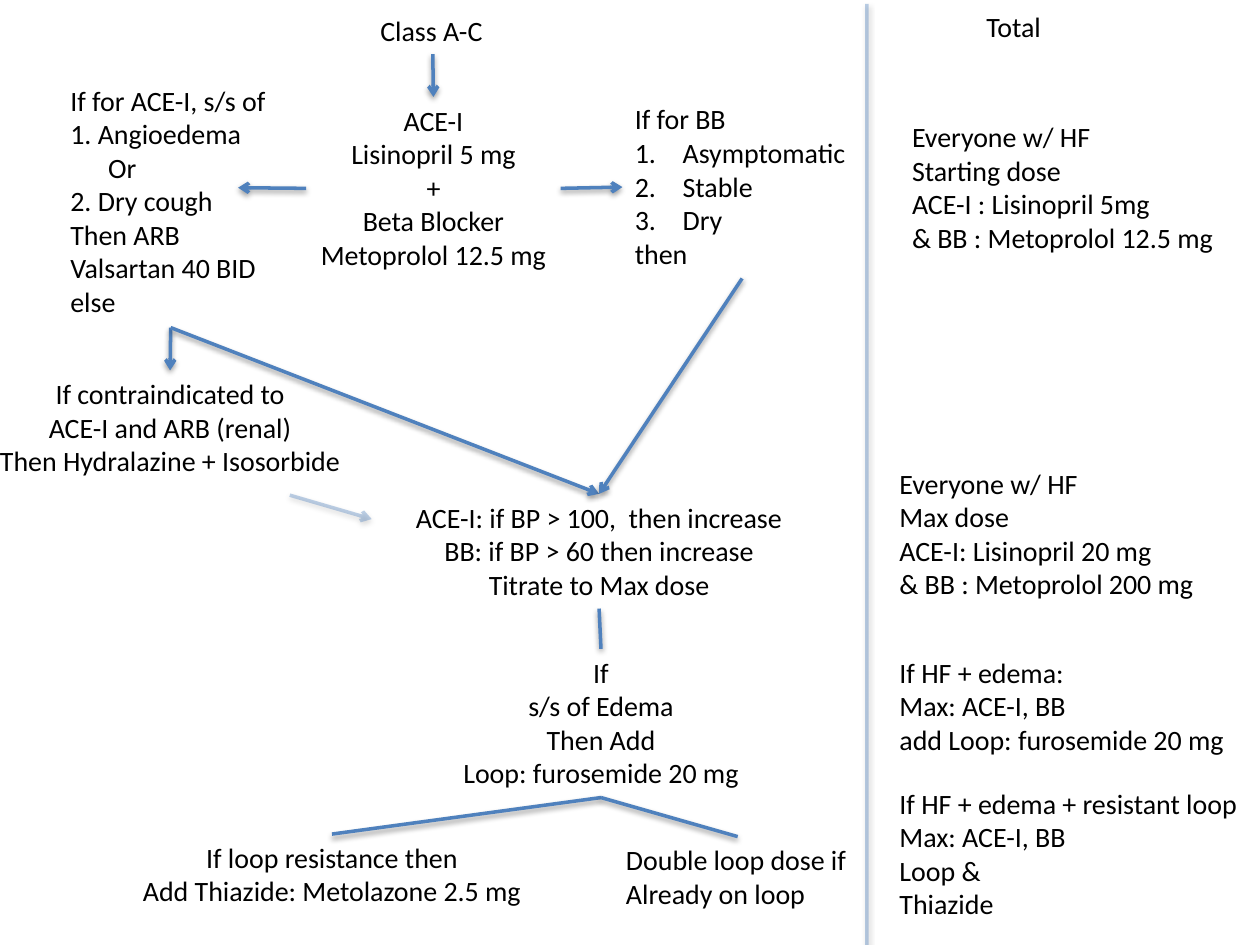
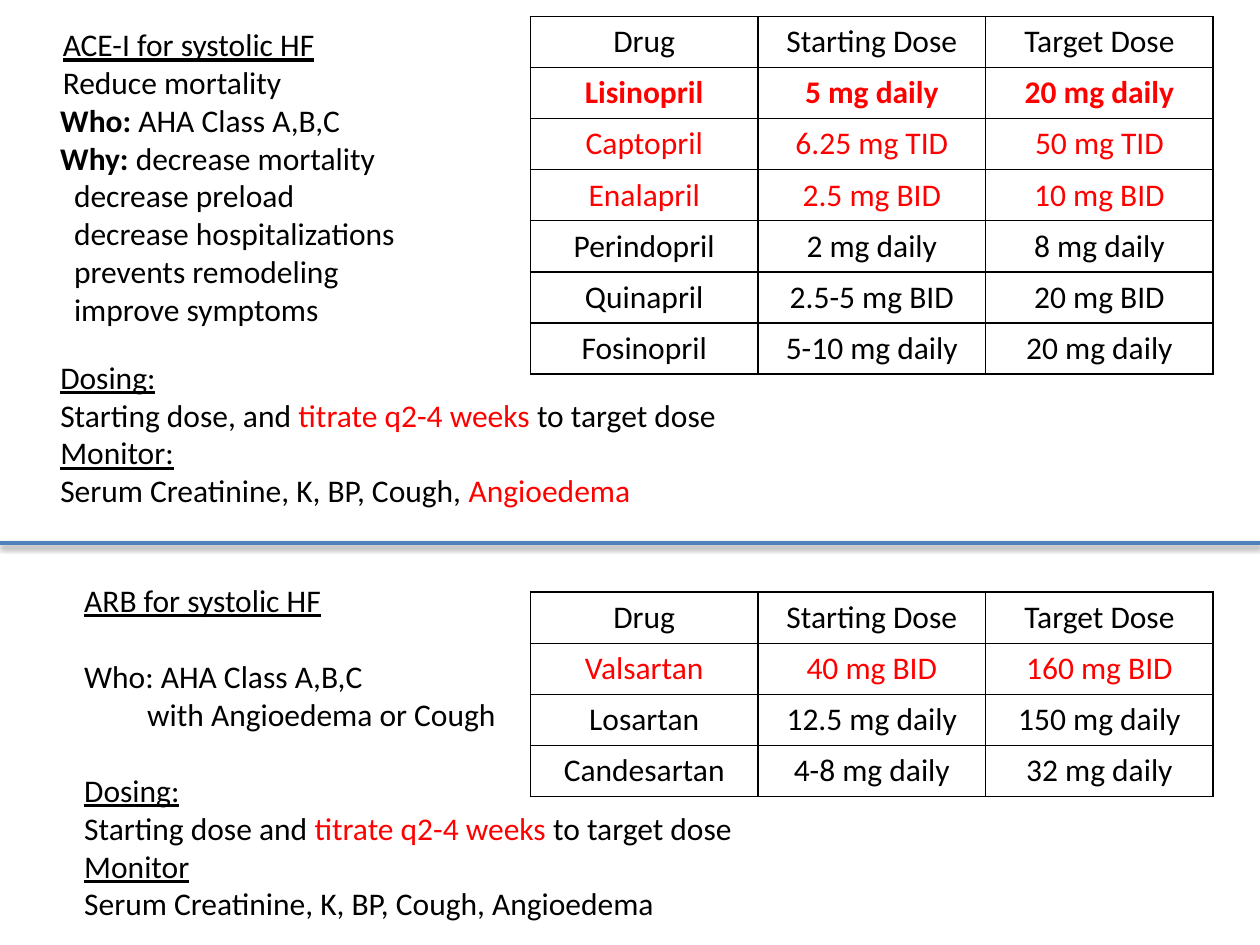
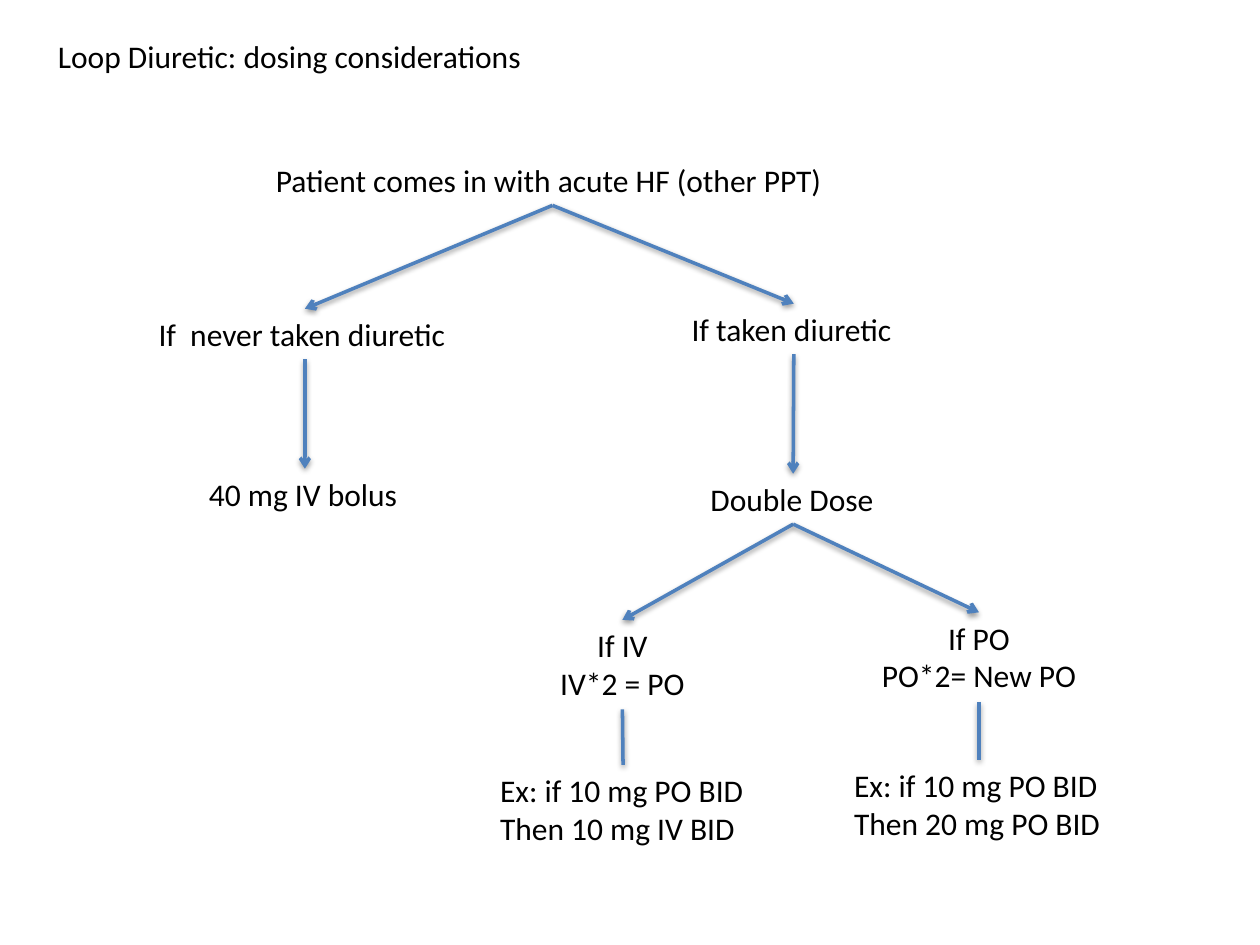
"""Build three slides on drug treatment of heart failure: pathway, dosing tables and diuretics."""
from lxml import etree
from pptx import Presentation
from pptx.dml.color import RGBColor
from pptx.enum.shapes import MSO_CONNECTOR
from pptx.enum.text import MSO_ANCHOR, MSO_AUTO_SIZE, PP_ALIGN
from pptx.oxml import parse_xml
from pptx.oxml.ns import nsdecls, qn
from pptx.util import Inches, Pt

STRAIGHT = MSO_CONNECTOR.STRAIGHT
LEFT, CENTER = PP_ALIGN.LEFT, PP_ALIGN.CENTER
MIDDLE, ANCHOR_TOP = MSO_ANCHOR.MIDDLE, MSO_ANCHOR.TOP
FIT_SHAPE = MSO_AUTO_SIZE.SHAPE_TO_FIT_TEXT
TOP_SIDE, LEFT_SIDE, BOTTOM_SIDE, RIGHT_SIDE = range(4)

BLACK = RGBColor(0x00, 0x00, 0x00)
RED = RGBColor(0xFF, 0x00, 0x00)
BLUE = RGBColor(0x4F, 0x81, 0xBD)
FONT = "Calibri"
NORMAL, BOLD, UNDERLINE, ALERT = "normal", "bold", "underline", "alert"


def add_text(page, place, lines, size, align=LEFT, box=None):
    """Write lines, each a string or a list of (text, style) spans, into a box."""
    box = box or page.shapes.add_textbox(0, 0, 0, 0)
    box.left, box.top, box.width, box.height = [Inches(length) for length in place]
    frame = box.text_frame
    frame.word_wrap = False
    frame.auto_size = FIT_SHAPE
    frame.vertical_anchor = ANCHOR_TOP
    for index, line in enumerate(lines):
        para = frame.add_paragraph() if index else frame.paragraphs[0]
        para.alignment = align
        for text, style in [(line, NORMAL)] if isinstance(line, str) else line:
            span = para.add_run()
            span.text = text
            span.font.name = FONT
            span.font.size = Pt(size)
            span.font.bold = style == BOLD
            span.font.underline = style == UNDERLINE
            span.font.color.rgb = RED if style == ALERT else BLACK
    return box


def add_line(page, begin=(0, 0), end=(0, 0), arrow=False, opacity=100):
    """Draw a blue line between two points given in inches."""
    line = page.shapes.add_connector(STRAIGHT, *[Inches(length) for length in begin + end])
    line.line.color.rgb = BLUE
    line.line.width = Pt(2)
    stroke = line.line._ln
    if opacity < 100:
        color = stroke.find(".//" + qn("a:srgbClr"))
        etree.SubElement(color, qn("a:alpha")).set("val", str(opacity * 1000))
    if arrow:
        etree.SubElement(stroke, qn("a:tailEnd")).set("type", "arrow")
    return line


deck = Presentation()
deck.slide_width, deck.slide_height = Inches(10), Inches(7.5)
title_layout, blank_layout = deck.slide_layouts[5], deck.slide_layouts[6]

pathway = deck.slides.add_slide(blank_layout)
step = {}
for name, place, align, lines in [
    ("start", (2.43, 0.77, 2.02, 1.45), CENTER,
     ["ACE-I", "Lisinopril 5 mg", "+", "Beta Blocker", "Metoprolol 12.5 mg"]),
    ("class", (2.92, 0.06, 1.03, 0.37), LEFT, ["Class A-C"]),
    ("blocker", (4.94, 0.76, 1.9, 1.45), LEFT,
     ["If for BB", "Asymptomatic", "Stable", "Dry", "then"]),
    ("arb", (0.46, 0.61, 1.79, 1.99), LEFT,
     ["If for ACE-I, s/s of", "1. Angioedema", "Or", "2. Dry cough", "Then ARB",
      "Valsartan 40 BID", "else"]),
    ("titrate", (3.18, 3.92, 3.15, 0.91), CENTER,
     ["ACE-I: if BP > 100,  then increase", "BB: if BP > 60 then increase",
      "Titrate to Max dose"]),
    ("edema", (3.56, 5.15, 2.42, 1.18), CENTER,
     ["If", "s/s of Edema", "Then Add", "Loop: furosemide 20 mg"]),
    ("thiazide", (1.01, 6.62, 3.25, 0.64), CENTER,
     ["If loop resistance then", "Add Thiazide: Metolazone 2.5 mg"]),
    ("total", (7.73, 0.03, 0.66, 0.37), LEFT, ["Total"]),
    ("starting total", (7.14, 0.9, 2.63, 1.18), LEFT,
     ["Everyone w/ HF", "Starting dose", "ACE-I : Lisinopril 5mg",
      "& BB : Metoprolol 12.5 mg"]),
    ("edema total", (7.04, 5.15, 2.81, 0.91), LEFT,
     ["If HF + edema:", "Max: ACE-I, BB", "add Loop: furosemide 20 mg"]),
    ("maximum total", (7.04, 3.65, 2.57, 1.18), LEFT,
     ["Everyone w/ HF", "Max dose", "ACE-I: Lisinopril 20 mg", "& BB : Metoprolol 200 mg"]),
    ("resistant total", (7.04, 6.19, 2.92, 1.18), LEFT,
     ["If HF + edema + resistant loop", "Max: ACE-I, BB", "Loop &", "Thiazide"]),
    ("hydralazine", (-0.12, 2.94, 2.94, 0.91), CENTER,
     ["If contraindicated to", "ACE-I and ARB (renal)", "Then Hydralazine + Isosorbide"]),
    ("double", (4.87, 6.64, 1.97, 0.64), LEFT, ["Double loop dose if", "Already on loop"]),
]:
    step[name] = add_text(pathway, place, lines, 16, align)

for para in step["blocker"].text_frame.paragraphs[1:4]:
    properties = para._p.get_or_add_pPr()
    properties.set("marL", str(Inches(0.38)))
    properties.set("indent", str(-Inches(0.38)))
    etree.SubElement(properties, qn("a:buAutoNum")).set("type", "arabicPeriod")
step["arb"].text_frame.paragraphs[2]._p.get_or_add_pPr().set("marL", str(Inches(0.3)))

add_line(pathway, (6.88, 0.03), (6.88, 7.53), opacity=38)
add_line(pathway, (2.3, 3.93), (2.95, 4.12), arrow=True, opacity=37)
add_line(pathway, (2.43, 1.49), (1.89, 1.49), arrow=True).begin_connect(step["start"], LEFT_SIDE)

dosing = deck.slides.add_slide(blank_layout)
for top, height, red_rows, bold_rows, rows in [
    (0.13, 2.84, (1, 2, 3), (1,), [
        ("Drug", "Starting Dose", "Target Dose"),
        ("Lisinopril", "5 mg daily", "20 mg daily"),
        ("Captopril", "6.25 mg TID", "50 mg TID"),
        ("Enalapril", "2.5 mg BID", "10 mg BID"),
        ("Perindopril", "2 mg daily", "8 mg daily"),
        ("Quinapril", "2.5-5 mg BID", "20 mg BID"),
        ("Fosinopril", "5-10 mg daily", "20 mg daily")]),
    (4.7, 1.62, (1,), (), [
        ("Drug", "Starting Dose", "Target Dose"),
        ("Valsartan", "40 mg BID", "160 mg BID"),
        ("Losartan", "12.5 mg daily", "150 mg daily"),
        ("Candesartan", "4-8 mg daily", "32 mg daily")]),
]:
    table = dosing.shapes.add_table(
        len(rows), 3, Inches(4.21), Inches(top), Inches(5.42), Inches(height)).table
    table.first_row = table.horz_banding = False
    for row_index, row in enumerate(rows):
        for column_index, value in enumerate(row):
            cell = table.cell(row_index, column_index)
            cell.text = value
            cell.margin_left = cell.margin_right = Inches(0.11)
            cell.vertical_anchor = MIDDLE
            para = cell.text_frame.paragraphs[0]
            para.alignment = CENTER
            font = para.runs[0].font
            font.name, font.size = FONT, Pt(18)
            font.bold = row_index in bold_rows
            font.color.rgb = RED if row_index in red_rows else BLACK
            for side in ("lnL", "lnR", "lnT", "lnB"):
                cell._tc.get_or_add_tcPr().append(parse_xml(
                    f'<a:{side} {nsdecls("a")} w="{Pt(1)}"><a:solidFill>'
                    f'<a:srgbClr val="{BLACK}"/></a:solidFill></a:{side}>'))
            cell.fill.background()

add_text(dosing, (0.4, 0.15, 2.24, 0.71),
         [[("ACE-I for systolic HF", UNDERLINE)], "Reduce mortality"], 18)
reasons = add_text(dosing, (0.38, 0.75, 2.9, 1.92), [
    [("Who: ", BOLD), ("AHA Class A,B,C", NORMAL)],
    [("Why: ", BOLD), ("decrease mortality", NORMAL)],
    "decrease preload", "decrease hospitalizations", "prevents remodeling",
    "improve symptoms"], 18)
for para in reasons.text_frame.paragraphs[2:]:
    para._p.get_or_add_pPr().set("marL", str(Inches(0.11)))
add_text(dosing, (0.38, 2.79, 5.48, 1.31), [
    [("Dosing:", UNDERLINE)],
    [("Starting dose, and ", NORMAL), ("titrate q2-4 weeks ", ALERT), ("to target dose", NORMAL)],
    [("Monitor:", UNDERLINE)],
    [("Serum Creatinine, K, BP, Cough, ", NORMAL), ("Angioedema", ALERT)]], 18)
add_line(dosing, (0, 4.31), (10, 4.31))
arb_notes = add_text(dosing, (0.57, 4.56, 5.42, 2.83), [
    [("ARB for systolic HF", UNDERLINE)],
    "Who: AHA Class A,B,C",
    "with Angioedema or Cough",
    [("Dosing:", UNDERLINE)],
    [("Starting dose and ", NORMAL), ("titrate q2-4 weeks ", ALERT), ("to target dose", NORMAL)],
    [("Monitor", UNDERLINE)],
    "Serum Creatinine, K, BP, Cough, Angioedema"], 18).text_frame.paragraphs
arb_notes[2]._p.get_or_add_pPr().set("marL", str(Inches(0.5)))
for para in (arb_notes[1], arb_notes[3]):
    para.space_before = Pt(22)

diuretic = deck.slides.add_slide(title_layout)
add_text(diuretic, (0.36, 0.24, 3.93, 0.4), ["Loop Diuretic: dosing considerations"], 18,
         box=diuretic.shapes.title)
for name, place, align, lines in [
    ("patient", (2.09, 1.23, 4.59, 0.4), LEFT, ["Patient comes in with acute HF (other PPT)"]),
    ("never", (1.16, 2.45, 2.52, 0.4), LEFT, ["If  never taken diuretic"]),
    ("taken", (5.39, 2.41, 1.82, 0.4), LEFT, ["If taken diuretic"]),
    ("bolus", (1.56, 3.72, 1.72, 0.4), LEFT, ["40 mg IV bolus"]),
    ("double dose", (5.54, 3.76, 1.51, 0.4), LEFT, ["Double Dose"]),
    ("iv", (4.34, 4.92, 1.2, 0.71), CENTER, ["If IV", "IV*2 = PO"]),
    ("po", (6.89, 4.86, 1.76, 0.71), CENTER, ["If PO", "PO*2= New PO"]),
    ("iv example", (3.87, 6.07, 2.15, 0.71), LEFT, ["Ex: if 10 mg PO BID", "Then 10 mg IV BID"]),
    ("po example", (6.68, 6.03, 2.18, 0.71), LEFT, ["Ex: if 10 mg PO BID", "Then 20 mg PO BID"]),
]:
    step[name] = add_text(diuretic, place, lines, 18, align)

line = add_line(pathway, arrow=True)
line.begin_connect(step["start"], RIGHT_SIDE)
line.end_connect(step["blocker"], LEFT_SIDE)
for page, upper, lower, arrow in [
    (pathway, "class", "start", True),
    (pathway, "arb", "hydralazine", True),
    (pathway, "arb", "titrate", True),
    (pathway, "blocker", "titrate", True),
    (pathway, "titrate", "edema", False),
    (pathway, "edema", "thiazide", False),
    (pathway, "edema", "double", False),
    (diuretic, "patient", "never", True),
    (diuretic, "patient", "taken", True),
    (diuretic, "never", "bolus", True),
    (diuretic, "taken", "double dose", True),
    (diuretic, "double dose", "iv", True),
    (diuretic, "double dose", "po", True),
    (diuretic, "iv", "iv example", False),
    (diuretic, "po", "po example", False),
]:
    line = add_line(page, arrow=arrow)
    line.begin_connect(step[upper], BOTTOM_SIDE)
    line.end_connect(step[lower], TOP_SIDE)

deck.save("out.pptx")
